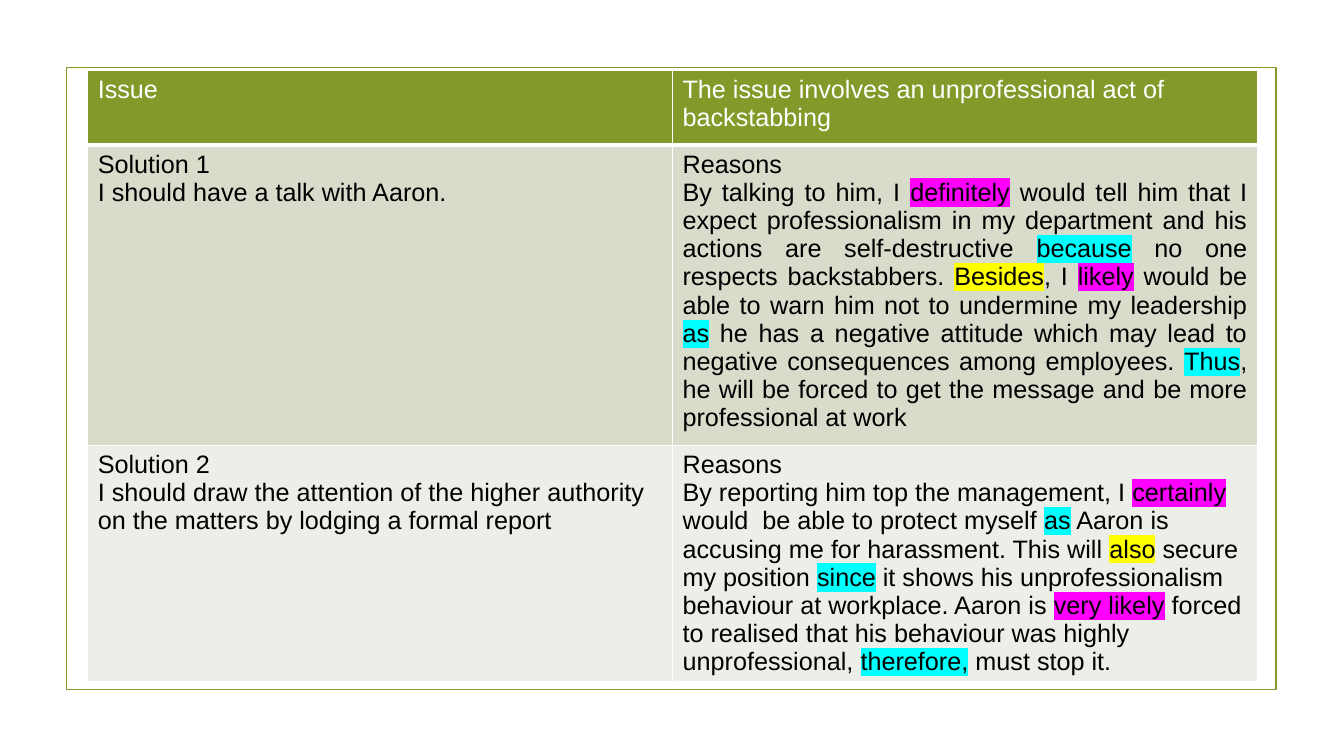
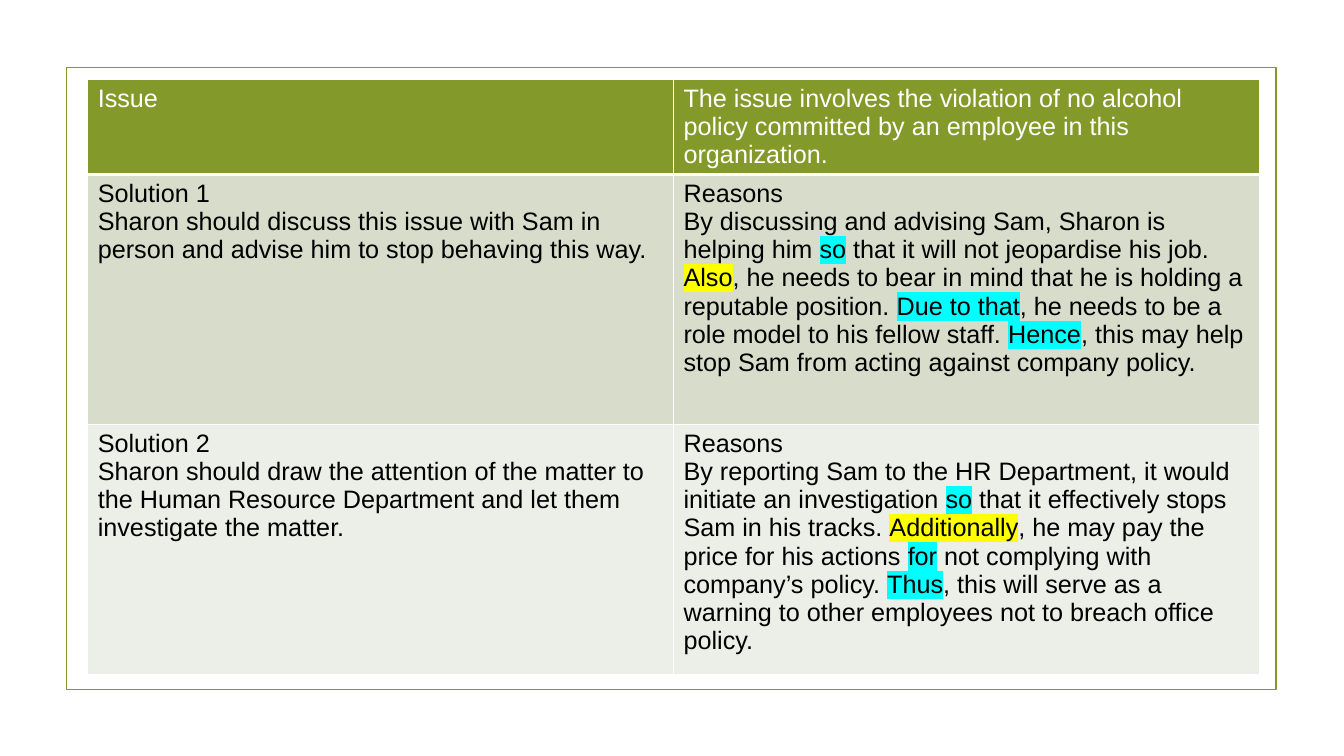
import lxml.etree
import pptx
import pptx.dml.color
import pptx.enum.shapes
import pptx.enum.text
import pptx.oxml.ns
import pptx.util

RGBColor = pptx.dml.color.RGBColor
OLIVE = RGBColor(0x83, 0x99, 0x2A)
SAGE = RGBColor(0xD8, 0xDD, 0xCB)
PALE_SAGE = RGBColor(0xEC, 0xEF, 0xE7)
WHITE = RGBColor(0xFF, 0xFF, 0xFF)
BLACK = RGBColor(0x00, 0x00, 0x00)
MAGENTA = RGBColor(0xFF, 0x00, 0xFF)
CYAN = RGBColor(0x00, 0xFF, 0xFF)
YELLOW = RGBColor(0xFF, 0xFF, 0x00)

FONT = "Arial"
EMU_PER_PX = 9144
SLIDE_SIZE = (1333, 750)
FRAME_BOX = (66, 67, 1200, 617)
ROW_FILLS = (OLIVE, SAGE, PALE_SAGE)
BLANK_LAYOUT = 6

# A paragraph is a list of plain strings and (text, highlight colour) pairs.
BACKSTABBING_ROWS = [
    ([["Issue"]],
     [["The issue involves an unprofessional act of backstabbing"]]),
    ([["Solution 1"], ["I should have a talk with Aaron."]],
     [["Reasons"],
      ["By talking to him, I ", ("definitely", MAGENTA),
       " would tell him that I expect professionalism in my department and his "
       "actions are self-destructive ", ("because", CYAN),
       " no one respects backstabbers. ", ("Besides", YELLOW),
       ", I ", ("likely", MAGENTA),
       " would be able to warn him not to undermine my leadership ", ("as", CYAN),
       " he has a negative attitude which may lead to negative consequences "
       "among employees. ", ("Thus", CYAN),
       ", he will be forced to get the message and be more professional at work"]]),
    ([["Solution 2"],
      ["I should draw the attention of the higher authority on the matters by "
       "lodging a formal report"]],
     [["Reasons"],
      ["By reporting him top the management, I ", ("certainly", MAGENTA),
       " would  be able to protect myself ", ("as", CYAN),
       " Aaron is accusing me for harassment. This will ", ("also", YELLOW),
       " secure my position ", ("since", CYAN),
       " it shows his unprofessionalism behaviour at workplace. Aaron is ",
       ("very likely", MAGENTA),
       " forced to realised that his behaviour was highly unprofessional, ",
       ("therefore,", CYAN), " must stop it."]]),
]

ALCOHOL_ROWS = [
    ([["Issue"]],
     [["The issue involves the violation of no alcohol policy committed by an "
       "employee in this organization."]]),
    ([["Solution 1"],
      ["Sharon should discuss this issue with Sam in person and advise him to "
       "stop behaving this way."]],
     [["Reasons"],
      ["By discussing and advising Sam, Sharon is helping him ", ("so", CYAN),
       " that it will not jeopardise his job. ", ("Also", YELLOW),
       ", he needs to bear in mind that he is holding a reputable position. ",
       ("Due to that", CYAN),
       ", he needs to be a role model to his fellow staff. ", ("Hence", CYAN),
       ", this may help stop Sam from acting against company policy."]]),
    ([["Solution 2"],
      ["Sharon should draw the attention of the matter to the Human Resource "
       "Department and let them investigate the matter."]],
     [["Reasons"],
      ["By reporting Sam to the HR Department, it would initiate an investigation ",
       ("so", CYAN), " that it effectively stops Sam in his tracks. ",
       ("Additionally", YELLOW), ", he may pay the price for his actions ",
       ("for", CYAN), " not complying with company’s policy. ", ("Thus", CYAN),
       ", this will serve as a warning to other employees not to breach office "
       "policy."]]),
]


def px(length):
    return pptx.util.Emu(length * EMU_PER_PX)


def add_frame(slide, box):
    frame = slide.shapes.add_shape(
        pptx.enum.shapes.MSO_SHAPE.RECTANGLE, *map(px, box))
    frame.shadow.inherit = False
    frame.fill.background()
    frame.line.color.rgb = OLIVE
    frame.line.width = pptx.util.Pt(1.25)


def set_border(cell, side, points):
    """Draw one white cell border; side is L, R, T or B."""
    properties = cell._tc.get_or_add_tcPr()
    line = lxml.etree.SubElement(
        properties, pptx.oxml.ns.qn(f"a:ln{side}"), w=str(pptx.util.Pt(points)))
    fill = lxml.etree.SubElement(line, pptx.oxml.ns.qn("a:solidFill"))
    lxml.etree.SubElement(fill, pptx.oxml.ns.qn("a:srgbClr"), val=str(WHITE))


def highlight_run(run, color):
    """Put the highlight right after the text fill, as the schema requires."""
    properties = run._r.get_or_add_rPr()
    highlight = lxml.etree.Element(pptx.oxml.ns.qn("a:highlight"))
    lxml.etree.SubElement(highlight, pptx.oxml.ns.qn("a:srgbClr"), val=str(color))
    properties.find(pptx.oxml.ns.qn("a:solidFill")).addnext(highlight)


def fill_paragraph(paragraph, pieces, color):
    for piece in pieces:
        text, highlight = (piece, None) if isinstance(piece, str) else piece
        run = paragraph.add_run()
        run.text = text
        run.font.name = FONT
        run.font.size = pptx.util.Pt(18)
        run.font.bold = False
        run.font.color.rgb = color
        if highlight is not None:
            highlight_run(run, highlight)


def fill_cell(cell, paragraphs, row_index):
    is_header = row_index == 0
    top = 3 if row_index == 1 else 1
    bottom = 3 if is_header else 1
    for side, points in (("L", 1), ("R", 1), ("T", top), ("B", bottom)):
        set_border(cell, side, points)
    cell.fill.solid()
    cell.fill.fore_color.rgb = ROW_FILLS[row_index]
    for index, pieces in enumerate(paragraphs):
        frame = cell.text_frame
        paragraph = frame.add_paragraph() if index else frame.paragraphs[0]
        fill_paragraph(paragraph, pieces, WHITE if is_header else BLACK)


def add_solution_table(slide, box, row_heights, rows):
    """Place a two-column table of issue and solutions; return the table."""
    table = slide.shapes.add_table(len(rows), 2, *map(px, box)).table
    for column in table.columns:
        column.width = px(box[2] // 2)
    for row_index, (height, row) in enumerate(zip(row_heights, rows)):
        table.rows[row_index].height = px(height)
        for column_index, paragraphs in enumerate(row):
            fill_cell(table.cell(row_index, column_index), paragraphs, row_index)
    return table


def add_solution_slide(presentation, left_top, width, row_heights, rows):
    slide = presentation.slides.add_slide(
        presentation.slide_layouts[BLANK_LAYOUT])
    add_frame(slide, FRAME_BOX)
    box = (*left_top, width, sum(row_heights))
    return add_solution_table(slide, box, row_heights, rows)


def main():
    presentation = pptx.Presentation()
    presentation.slide_width, presentation.slide_height = map(px, SLIDE_SIZE)

    backstabbing = add_solution_slide(
        presentation, (87, 70), 1160, (74, 298, 234), BACKSTABBING_ROWS)
    reason = backstabbing.cell(1, 1).text_frame.paragraphs[1]
    reason.alignment = pptx.enum.text.PP_ALIGN.JUSTIFY

    add_solution_slide(
        presentation, (87, 79), 1162, (93, 248, 248), ALCOHOL_ROWS)
    presentation.save("out.pptx")


if __name__ == "__main__":
    main()
